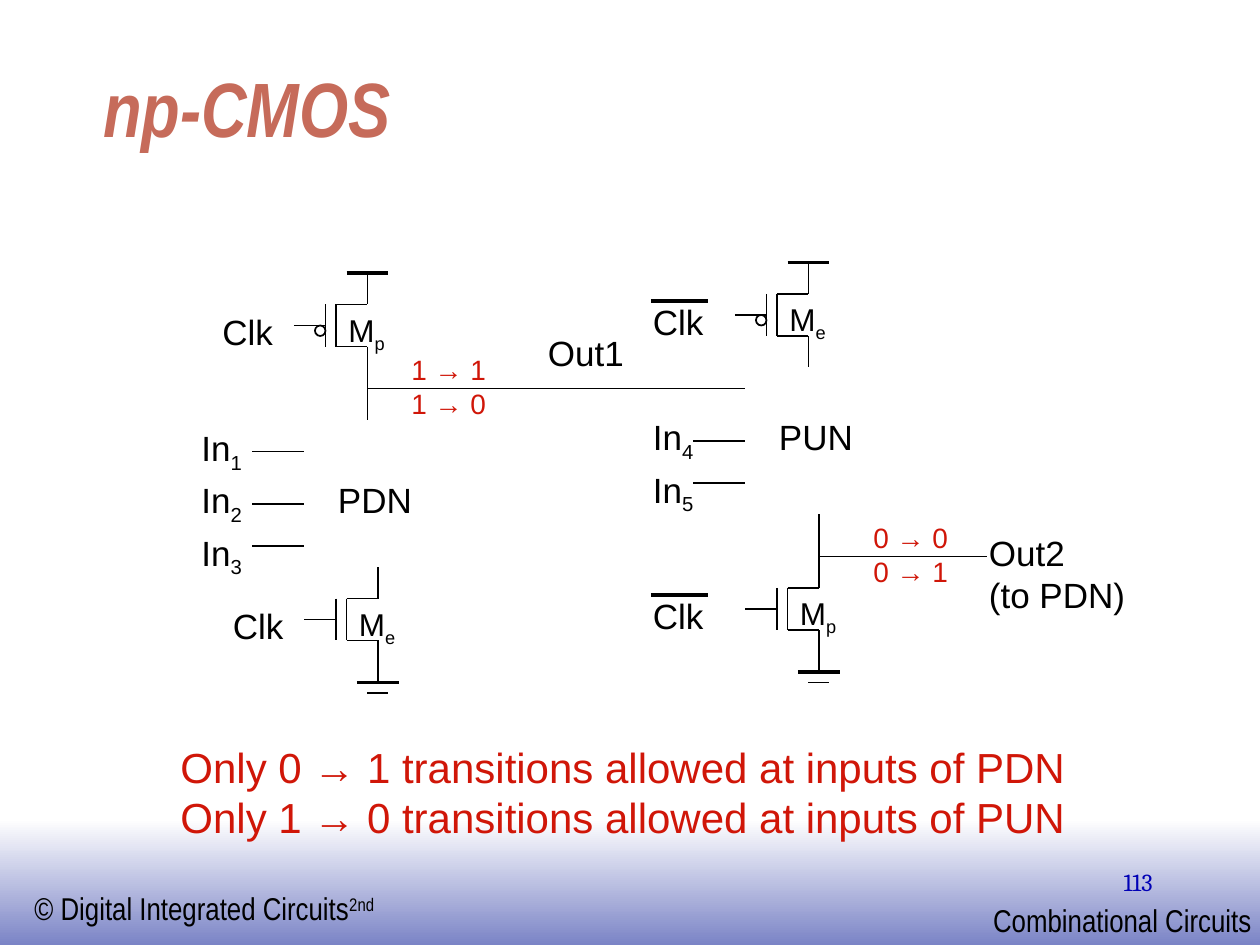
from lxml.etree import SubElement
from pptx import Presentation
from pptx.dml.color import RGBColor
from pptx.enum.shapes import MSO_CONNECTOR, MSO_SHAPE
from pptx.enum.text import MSO_ANCHOR, PP_ALIGN
from pptx.oxml.ns import qn
from pptx.util import Inches, Pt

BLACK = RGBColor(0x00, 0x00, 0x00)
WHITE = RGBColor(0xFF, 0xFF, 0xFF)
RED = RGBColor(0xD0, 0x16, 0x08)
CORAL = RGBColor(0xC6, 0x6B, 0x5A)
NAVY = RGBColor(0x00, 0x00, 0xB6)
PERIWINKLE = RGBColor(0x7B, 0x84, 0xC6)

COLUMNS, ROWS = 120, 90  # the circuit sits on a grid of twelve units to the inch
THIN, THICK = 1, 2.25
SUBSCRIPT, SUPERSCRIPT = -25, 30


def grid(units):
    return Inches(units / 12)


def add_wire(shapes, x1, y1, x2, y2, weight=THIN):
    wire = shapes.add_connector(
        MSO_CONNECTOR.STRAIGHT, grid(x1), grid(y1), grid(x2), grid(y2))
    wire.line.color.rgb = BLACK
    wire.line.width = Pt(weight)
    SubElement(wire._element.spPr, qn("a:effectLst"))


def add_label(page, x, y, width, lines, size=20, color=BLACK, font="Arial",
              shifted="", shift=SUBSCRIPT, align=PP_ALIGN.LEFT, wrap=False):
    """Add text lines; `shifted` follows the last one, `shift` percent off the baseline."""
    height = Inches(len(lines) * size / 60 + 0.1)
    box = page.shapes.add_textbox(grid(x), grid(y), Inches(width), height)
    frame = box.text_frame
    frame.word_wrap = wrap
    for number, line in enumerate(lines):
        para = frame.add_paragraph() if number else frame.paragraphs[0]
        para.alignment = align
        para.font.size = Pt(size)
        para.font.name = font
        para.font.color.rgb = color
        para.add_run().text = line
    if shifted:
        span = para.add_run()
        span.text = shifted
        span._r.get_or_add_rPr().set("baseline", str(shift * 1000))


def add_transistor(page, x, y, name, p_type=False):
    """Add a transistor whose gate lead starts in column x and drain in row y."""
    shapes = page.shapes.add_group_shape().shapes
    for x1, y1, x2, y2 in (
        (0, 5, 3, 5),   # gate lead
        (3, 3, 3, 7),   # gate
        (4, 3, 4, 7),   # channel
        (4, 3, 7, 3),
        (4, 7, 7, 7),
        (7, 0, 7, 3),   # upper terminal
        (7, 7, 7, 10),  # lower terminal
    ):
        add_wire(shapes, x + x1, y + y1, x + x2, y + y2)
    if p_type:
        bubble = shapes.add_shape(
            MSO_SHAPE.OVAL, grid(x + 2), grid(y + 5), grid(1), grid(1))
        bubble.shadow.inherit = False
        bubble.fill.background()
        bubble.line.color.rgb = BLACK
        bubble.line.width = Pt(THIN)
        add_wire(page.shapes, x + 5, y, x + 9, y, THICK)  # supply rail
    else:
        add_ground(page, x + 7, y + 8)
    add_label(page, x + 4, y + 3, 0.5, ["M"], size=18, shifted=name)


def add_ground(page, x, y):
    shapes = page.shapes.add_group_shape().shapes
    add_wire(shapes, x, y, x, y + 3)
    add_wire(shapes, x - 2, y + 3, x + 2, y + 3, THICK)
    add_wire(shapes, x - 1, y + 4, x + 1, y + 4)


def add_clock(page, x, y, inverted=False):
    add_label(page, x, y, 0.6, ["Clk"])
    if inverted:
        add_wire(page.shapes, x + 1, y + 0.67, x + 6.4, y + 0.67, THICK)


def add_input(page, x, y, number, lead_x, lead_y):
    add_label(page, x, y, 0.53, ["In"], shifted=number)
    add_wire(page.shapes, lead_x, lead_y, lead_x + 5, lead_y)


def add_footer(page):
    band = page.shapes.add_shape(
        MSO_SHAPE.RECTANGLE, 0, grid(78), grid(COLUMNS), grid(ROWS - 78))
    band.shadow.inherit = False
    band.line.fill.background()
    band.fill.gradient()
    band.fill.gradient_angle = 270
    for stop, color in zip(band.fill.gradient_stops, (WHITE, PERIWINKLE)):
        stop.color.rgb = color
    add_label(page, 2.1, 84.1, 2.93, ["© Digital Integrated Circuits"], size=18,
              font="Arial Narrow", shifted="2nd", shift=SUPERSCRIPT)
    add_label(page, 93.4, 85.2, 2.25, ["Combinational Circuits"], size=18,
              font="Arial Narrow")
    add_label(page, 86, 82, 2.08, ["113"], size=14, color=NAVY, font="Cambria",
              align=PP_ALIGN.RIGHT, wrap=True)


def set_title(page, text):
    title = page.shapes.title
    title.left, title.top = Inches(0.72), Inches(0.48)
    title.width, title.height = Inches(8.5), Inches(0.78)
    title.text_frame.vertical_anchor = MSO_ANCHOR.BOTTOM
    title.text_frame.text = text
    para = title.text_frame.paragraphs[0]
    para.alignment = PP_ALIGN.LEFT
    para.font.name = "Arial Narrow"
    para.font.size = Pt(44)
    para.font.bold = para.font.italic = True
    para.font.color.rgb = CORAL


def add_pull_down_stage(page):
    add_transistor(page, 28, 26, "p", p_type=True)
    add_transistor(page, 29, 54, "e")
    add_clock(page, 20, 29)
    add_clock(page, 21, 57)
    for number, y, lead_y in (("1", 40, 43), ("2", 45, 48), ("3", 50, 52)):
        add_input(page, 18, y, number, 24, lead_y)
    add_label(page, 31, 45, 0.79, ["PDN"])
    add_wire(page.shapes, 35, 35, 35, 40)
    add_wire(page.shapes, 35, 37, 71, 37)
    add_label(page, 51, 31, 0.8, ["Out1"])
    add_label(page, 38, 33, 0.79, ["1 → 1", "1 → 0"], size=16, color=RED)


def add_pull_up_stage(page):
    add_transistor(page, 70, 25, "e", p_type=True)
    add_transistor(page, 71, 53, "p")
    for y in (28, 56):
        add_clock(page, 61, y, inverted=True)
    for number, y, lead_y in (("4", 39, 42), ("5", 44, 46)):
        add_input(page, 61, y, number, 66, lead_y)
    add_label(page, 73, 39, 0.79, ["PUN"])
    add_wire(page.shapes, 78, 49, 78, 53)
    add_wire(page.shapes, 78, 53, 94, 53)
    add_label(page, 93, 50, 1.28, ["Out2", "(to PDN)"])
    add_label(page, 82, 49, 0.79, ["0 → 0", "0 → 1"], size=16, color=RED)


def main():
    deck = Presentation()
    deck.slide_width, deck.slide_height = grid(COLUMNS), grid(ROWS)
    page = deck.slides.add_slide(deck.slide_layouts[5])
    add_footer(page)
    set_title(page, "np-CMOS")
    add_pull_down_stage(page)
    add_pull_up_stage(page)
    add_label(page, 16, 70, 7.25,
              ["Only 0 → 1 transitions allowed at inputs of PDN",
               "Only 1 → 0 transitions allowed at inputs of PUN"],
              size=24, color=RED, wrap=True)
    deck.save("out.pptx")


if __name__ == "__main__":
    main()
